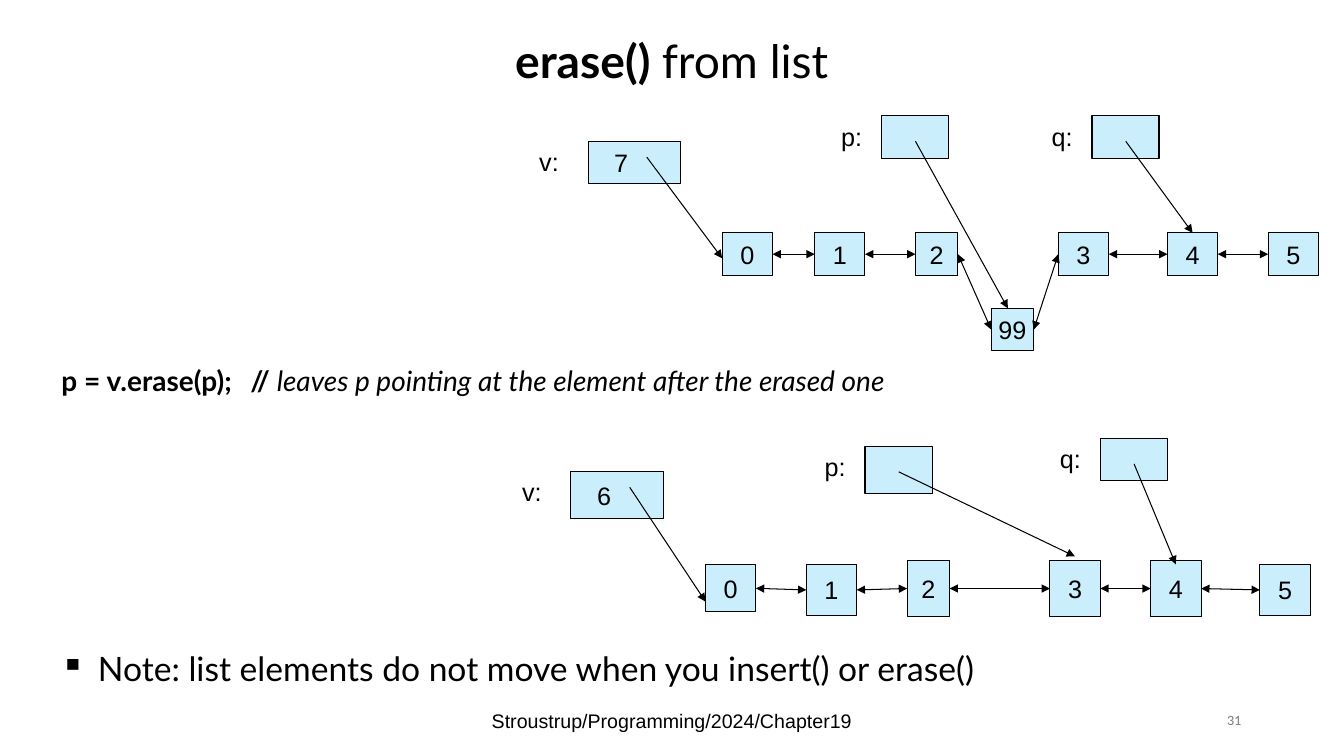
from lxml.etree import SubElement
from pptx import Presentation
from pptx.dml.color import RGBColor
from pptx.enum.shapes import MSO_CONNECTOR, MSO_SHAPE
from pptx.enum.text import MSO_ANCHOR as Anchor, PP_ALIGN as Align
from pptx.oxml.ns import qn
from pptx.util import Cm, Pt

COLORS = {"ink": "000000", "cell": "CAEEFB", "number": "797979"}
RIGHT, LEFT, TOP = 3, 1, 0


def write(shape, pieces, size, font="Arial", align=Align.LEFT, anchor=Anchor.TOP, color="ink"):
    frame = shape.text_frame
    frame.word_wrap = True
    frame.vertical_anchor = anchor
    paragraph = frame.paragraphs[0]
    paragraph.alignment = align
    for text, bold, italic in pieces:
        run = paragraph.add_run()
        run.text = text
        run.font.size = Pt(size)
        run.font.name = font
        run.font.bold = bold
        run.font.italic = italic
        run.font.color.rgb = RGBColor.from_string(COLORS[color])
    return paragraph


def arrow(start, end, ends=("tailEnd",)):
    line = slide.shapes.add_connector(MSO_CONNECTOR.STRAIGHT, *map(Cm, start + end))
    line.line.width = Pt(0.75)
    line.line.color.rgb = RGBColor.from_string(COLORS["ink"])
    outline = line.line._get_or_add_ln()
    for tip in ends:
        SubElement(outline, qn(f"a:{tip}"), type="triangle")
    SubElement(line._element.spPr, qn("a:effectLst"))
    return line


deck = Presentation()
deck.slide_width, deck.slide_height = Cm(33.87), Cm(19.05)
slide = deck.slides.add_slide(deck.slide_layouts[5])

title = slide.shapes.title
title.left, title.top, title.width, title.height = Cm(5.5), Cm(0), Cm(22.86), Cm(3.18)
heading = write(title, [("erase() ", True, False), ("from list", False, False)],
                33, "Lato", Align.CENTER, Anchor.MIDDLE)
heading.line_spacing = 0.9

before = {
    "nodes": [("0", 18.2, 5.87, 1.27, 1.07), ("1", 20.53, 5.87, 1.27, 1.07),
              ("2", 23.07, 5.87, 1.07, 1.07), ("99", 24.98, 7.77, 1.07, 1.07),
              ("3", 26.67, 5.87, 1.27, 1.07), ("4", 29.42, 5.87, 1.27, 1.07),
              ("5", 31.96, 5.87, 1.27, 1.07)],
    "pointers": [("v:", "7", 14.82, 3.56, 1.07, (18.2, 6.51), None),
                 ("p:", "", 22.22, 2.92, 1.07, (25.4, 7.77), None),
                 ("q:", "", 27.52, 2.92, 1.07, (30.06, 5.87), "4")],
}
after = {
    "nodes": [("0", 17.78, 14.23, 1.27, 1.19), ("1", 20.32, 14.23, 1.27, 1.27),
              ("2", 22.86, 14.12, 1.07, 1.42), ("3", 26.46, 14.12, 1.27, 1.42),
              ("4", 29, 14.12, 1.27, 1.42), ("5", 31.75, 14.23, 1.27, 1.27)],
    "pointers": [("v:", "6", 14.39, 11.88, 1.19, (17.78, 15.16), None),
                 ("p:", "", 21.8, 11.25, 1.19, (27.09, 14.02), None),
                 ("q:", "", 27.73, 11.05, 1.07, (29.63, 14.22), None)],
}

for state in (before, after):
    cells = list(state["nodes"])
    for label, count, left, top, height, target, node in state["pointers"]:
        is_list = label == "v:"
        cells.append((count, left, top, 2.33 if is_list else 1.69, height))

    nodes = {}
    for position, (value, left, top, width, height) in enumerate(cells):
        cell = slide.shapes.add_shape(MSO_SHAPE.RECTANGLE, Cm(left), Cm(top), Cm(width), Cm(height))
        cell.shadow.inherit = False
        cell.fill.solid()
        cell.fill.fore_color.rgb = RGBColor.from_string(COLORS["cell"])
        cell.line.color.rgb = RGBColor.from_string(COLORS["ink"])
        cell.line.width = Pt(0.75)
        cell.text_frame.margin_left = cell.text_frame.margin_right = Cm(0)
        if value:
            write(cell, [(value, False, False)], 18, align=Align.CENTER, anchor=Anchor.MIDDLE)
        if position < len(state["nodes"]):
            nodes[value] = cell
        elif value:
            cell.text_frame.margin_right = Cm(0.66)

    chain = list(nodes.values())
    for previous, following in zip(chain, chain[1:]):
        link = arrow((0, 0), (0, 0), ("headEnd", "tailEnd"))
        link.begin_connect(previous, RIGHT)
        link.end_connect(following, LEFT)

    for label, count, left, top, height, target, node in state["pointers"]:
        is_list = label == "v:"
        label_width = 1.48 if is_list else 1.27
        name = slide.shapes.add_textbox(Cm(left - label_width), Cm(top), Cm(label_width), Cm(1.02))
        write(name, [(label, False, False)], 18)
        dx, dy = (1.48, 0.4) if is_list else (0.85, 0.64)
        pointer = arrow((left + dx, top + dy), target)
        if node:
            pointer.end_connect(nodes[node], TOP)

statement = slide.shapes.add_textbox(Cm(1.3), Cm(9.12), Cm(28.37), Cm(1.47))
code = write(statement, [("p = v.erase(p);\t// ", True, False),
                         ("leaves p pointing at the element after the erased one", False, True)], 20, "Lato")
note = slide.shapes.add_textbox(Cm(1.27), Cm(16.31), Cm(27.74), Cm(1.07))
remark = write(note, [("Note: list elements do not move when you insert() or erase()", False, False)], 24, "Lato")
for paragraph in (code, remark):
    paragraph.line_spacing = 0.9
    properties = paragraph._p.get_or_add_pPr()
    properties.set("marL", str(Cm(0.95)))
    properties.set("indent", str(-Cm(0.95)))
tabs = SubElement(code._p.pPr, qn("a:tabLst"))
SubElement(tabs, qn("a:tab"), pos=str(Cm(6.05)), algn="l")
SubElement(remark._p.pPr, qn("a:buChar"), char="▪")

footer = slide.shapes.add_textbox(Cm(11.22), Cm(17.65), Cm(11.43), Cm(1.02))
write(footer, [("Stroustrup/Programming/2024/Chapter19", False, False)], 14,
      align=Align.CENTER, anchor=Anchor.MIDDLE)
page_number = slide.shapes.add_textbox(Cm(23.92), Cm(17.65), Cm(7.62), Cm(1.02))
write(page_number, [("31", False, False)], 9, "Lato", Align.RIGHT, Anchor.MIDDLE, "number")

deck.save("out.pptx")
